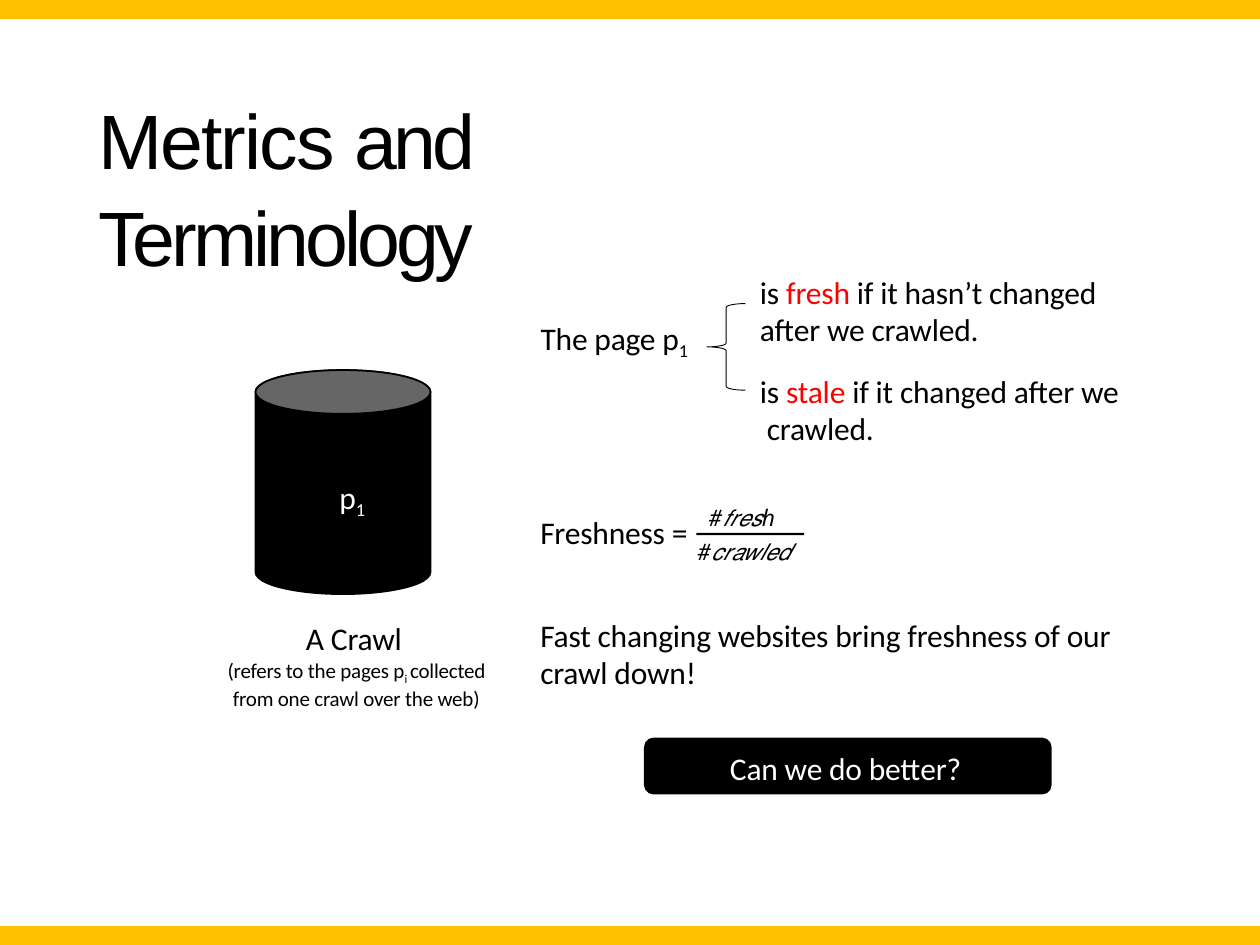
from dataclasses import dataclass

from pptx import Presentation
from pptx import util as u
from pptx.dml.color import RGBColor
from pptx.enum import shapes, text

BLACK, WHITE, RED, GOLD, GREY = "000000", "FFFFFF", "FF0000", "FFC000", "666666"
SHAPE = shapes.MSO_SHAPE
CENTER = text.PP_ALIGN.CENTER


@dataclass
class Run:
    text: str
    spacing: float = -0.1
    color: str | None = None
    baseline: int = 0


@dataclass
class Para:
    runs: list[Run]
    size: float = 18
    before: float = 0
    left: float = 0.7
    hanging: float = 0


@dataclass
class Box:
    left: float
    top: float
    width: float
    height: float

    def lengths(self):
        return [u.Pt(v) for v in (self.left, self.top, self.width, self.height)]


def rgb(value: str) -> RGBColor:
    return RGBColor.from_string(value)


def add_shape(s, kind, box: Box, fill=None, line=None, weight=1, adjust=None):
    sp = s.shapes.add_shape(kind, *box.lengths())
    sp.shadow.inherit = False
    if fill:
        sp.fill.solid()
        sp.fill.fore_color.rgb = rgb(fill)
    else:
        sp.fill.background()
    if line:
        sp.line.color.rgb = rgb(line)
        sp.line.width = u.Pt(weight)
    else:
        sp.line.fill.background()
    if adjust is not None:
        sp.adjustments[0] = adjust
    return sp


def write(sp, paras: list[Para], *, font="Calibri", color=BLACK, align=None,
          italic=None, line_spacing=None, right=0, anchor=text.MSO_ANCHOR.TOP):
    tf = sp.text_frame
    tf.word_wrap = True
    tf.vertical_anchor = anchor
    tf.margin_left = tf.margin_bottom = 0
    tf.margin_top, tf.margin_right = u.Pt(1.8), u.Pt(right)
    for i, para in enumerate(paras):
        p = tf.paragraphs[0] if i == 0 else tf.add_paragraph()
        p.alignment = align
        p.line_spacing = line_spacing
        if para.before:
            p.space_before = u.Pt(para.before)
        pPr = p._p.get_or_add_pPr()
        pPr.set("marL", str(u.Pt(para.left + para.hanging)))
        pPr.set("indent", str(u.Pt(-para.hanging)))
        for run in para.runs:
            r = p.add_run()
            r.text = run.text
            r.font.name = font
            r.font.size = u.Pt(para.size)
            r.font.italic = italic
            r.font.color.rgb = rgb(run.color or color)
            rPr = r._r.get_or_add_rPr()
            rPr.set("spc", str(round(run.spacing * 100)))
            if run.baseline:
                rPr.set("baseline", str(run.baseline * 1000))


def add_text(s, box: Box, paras: list[Para], **fmt):
    write(s.shapes.add_textbox(*box.lengths()), paras, **fmt)


def subscript(mark: str) -> Run:
    return Run(mark, 0, baseline=-21)


def add_crawl(s):
    add_shape(s, SHAPE.CAN, Box(146, 211.5, 100, 128), BLACK, BLACK, adjust=0.25)
    add_shape(s, SHAPE.OVAL, Box(146, 211.5, 100, 25), GREY, BLACK)
    add_text(s, Box(191, 271.5, 21.5, 24),
             [Para([Run("p", 0), subscript("1")], left=2.9)], color=WHITE)
    add_text(s, Box(123, 352, 158.5, 52.5), [
        Para([Run("A Crawl")], left=0),
        Para([Run("(refers to the pages p"), subscript("i "),
              Run("collected from one crawl over the web)")],
             size=12, before=0.5, left=2.9),
    ], align=CENTER)


def add_definitions(s):
    add_text(s, Box(306, 180.5, 92, 24),
             [Para([Run("The page p"), subscript("1")], left=2.9)])
    add_shape(s, SHAPE.LEFT_BRACE, Box(404, 173.5, 22, 49.5),
              line=BLACK, weight=0.5, adjust=0.1)
    add_text(s, Box(433.5, 154, 198, 45.5), [
        Para([Run("is "), Run("fresh ", color=RED), Run("if it hasn’t changed")]),
        Para([Run("after we crawled.")]),
    ])
    add_text(s, Box(433.5, 210.5, 211, 45.5), [
        Para([Run("is "), Run("stale ", color=RED),
              Run("if it changed after we crawled.")], hanging=4),
    ])


def add_freshness(s):
    add_text(s, Box(308, 291.5, 87, 24), [Para([Run("Freshness =")])])
    add_shape(s, SHAPE.RECTANGLE, Box(398, 304.5, 61.5, 1.3), BLACK)
    fraction = dict(font="Roboto", italic=True)
    add_text(s, Box(404, 286, 47, 17),
             [Para([Run("#", 0.8), Run("𝑓𝑟𝑒𝑠", 0), Run("ℎ", -2.6)], size=13)],
             **fraction)
    add_text(s, Box(397.5, 305.5, 63.5, 17),
             [Para([Run("#", 0.9), Run("𝑐𝑟𝑎𝑤𝑙𝑒𝑑", 0)], size=13)], **fraction)


def main():
    prs = Presentation()
    prs.slide_width, prs.slide_height = u.Pt(720), u.Pt(540)
    s = prs.slides.add_slide(prs.slide_layouts[6])
    for top in (529.2, 0):
        add_shape(s, SHAPE.RECTANGLE, Box(0, top, 720, 10.8), GOLD)
    add_text(s, Box(55.5, 48.5, 440, 54.5),
             [Para([Run("Metrics ", -1.1), Run("and Terminology", -2.3)], size=44)],
             font="Arial", line_spacing=1.05, right=150)
    add_crawl(s)
    add_definitions(s)
    add_freshness(s)
    add_text(s, Box(308, 350, 333.5, 45.5), [
        Para([Run("Fast changing websites bring freshness of our")]),
        Para([Run("crawl down!")]),
    ])
    button = add_shape(s, SHAPE.ROUNDED_RECTANGLE, Box(368.5, 422, 232, 31.5),
                       BLACK, BLACK, adjust=0.16)
    write(button, [Para([Run("Can we do better?")], left=0)], color=WHITE,
          align=CENTER, right=2.5, anchor=text.MSO_ANCHOR.MIDDLE)
    prs.save("out.pptx")


if __name__ == "__main__":
    main()
